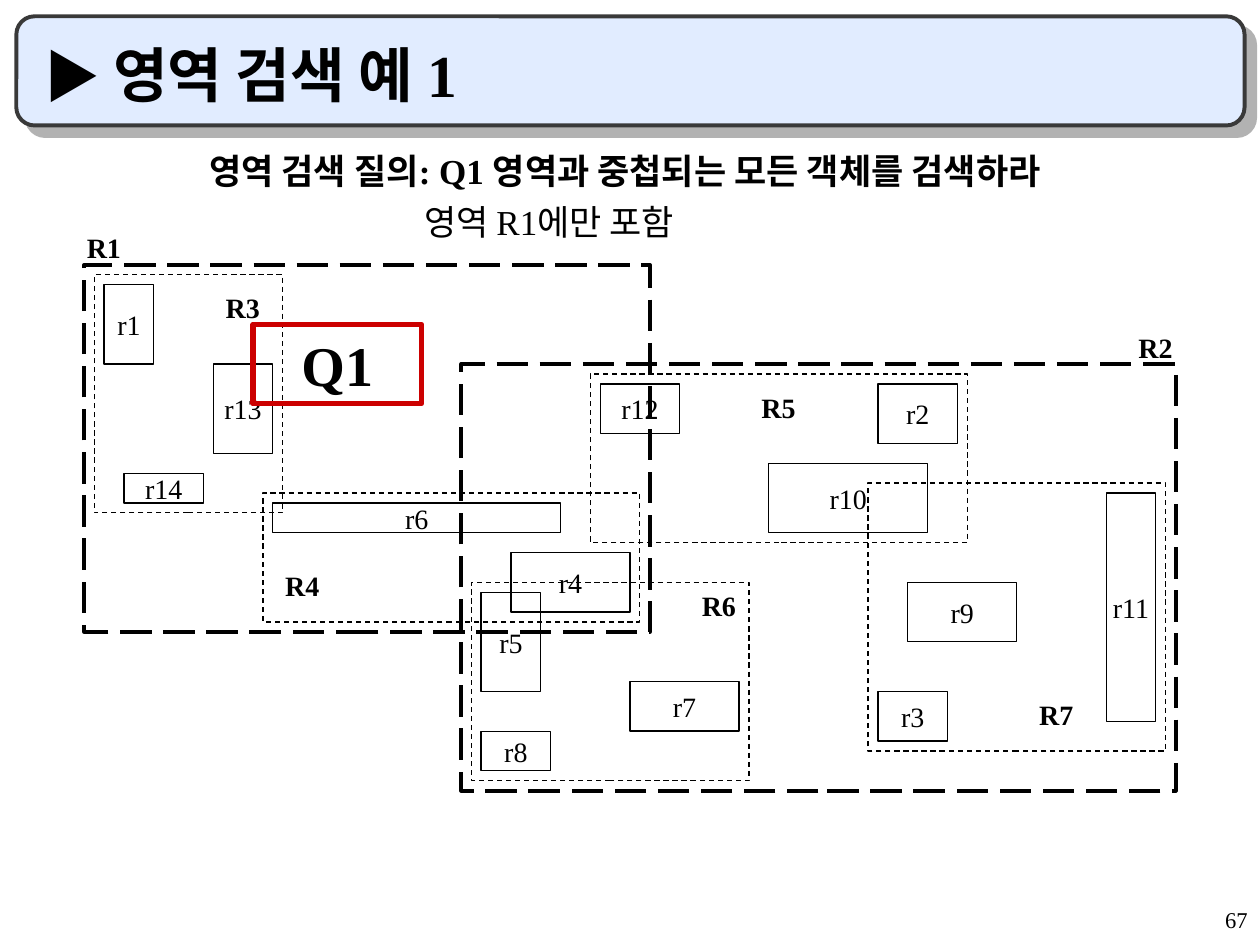
import pptx
import pptx.util
import pptx.dml.color
import pptx.enum.dml
import pptx.enum.shapes
import pptx.enum.text
import lxml.etree

Cm, Pt = pptx.util.Cm, pptx.util.Pt
ALIGN = pptx.enum.text.PP_ALIGN
ANCHOR = pptx.enum.text.MSO_ANCHOR
DASH = pptx.enum.dml.MSO_LINE
FORM = pptx.enum.shapes.MSO_SHAPE
BLACK = "000000"

# Regions and objects: name, then left, top, width, height in cm
OUTER = [(1.7, 5.34, 11.4, 7.4), (9.3, 7.34, 14.4, 8.6)]
INNER = [
    (1.9, 5.54, 3.8, 4.8), (5.3, 9.94, 7.6, 2.6), (11.9, 7.54, 7.6, 3.4),
    (9.5, 11.74, 5.6, 4), (17.5, 9.74, 6, 5.4),
]
ITEMS = {
    "r1": (2.1, 5.74, 1, 1.6), "r13": (4.3, 7.34, 1.2, 1.8),
    "r14": (2.5, 9.54, 1.6, 0.6), "r6": (5.5, 10.14, 5.8, 0.6),
    "r4": (10.3, 11.14, 2.4, 1.2), "r5": (9.7, 11.94, 1.2, 2),
    "r8": (9.7, 14.74, 1.4, 0.8), "r7": (12.7, 13.74, 2.2, 1),
    "r12": (12.1, 7.74, 1.6, 1), "r10": (15.5, 9.34, 3.2, 1.4),
    "r11": (22.3, 9.94, 1, 4.6), "r3": (17.7, 13.94, 1.4, 1),
    "r9": (18.3, 11.74, 2.2, 1.2), "r2": (17.7, 7.74, 1.6, 1.2),
}
LABELS = {
    "R1": (1.5, 4.52), "R2": (22.7, 6.54), "R3": (4.3, 5.74),
    "R4": (5.5, 11.34), "R5": (15.1, 7.74), "R6": (13.9, 11.74),
    "R7": (20.7, 13.94),
}


def tint(code):
    return pptx.dml.color.RGBColor.from_string(code)


def write(para, text, size=16, bold=False, align=None, before=None,
          lead=None, left=None, hang=0):
    """Add a run to a paragraph and set the format of both."""
    run = para.add_run()
    run.text = text
    run.font.name = "Times New Roman"
    run.font.size = Pt(size)
    run.font.bold = bold
    run.font.color.rgb = tint(BLACK)
    if align is not None:
        para.alignment = align
    if before is not None:
        para.space_before = Pt(before)
    if lead is not None:
        para.line_spacing = lead
    if left is not None:
        props = para._p.get_or_add_pPr()
        props.set("marL", str(Cm(left)))
        props.set("indent", str(Cm(hang)))


def place(shape, left, top, width, height):
    shape.left, shape.top = Cm(left), Cm(top)
    shape.width, shape.height = Cm(width), Cm(height)


def frame(slide, box, line=BLACK, width=0.75, dash=None, fill=None,
          form=FORM.RECTANGLE):
    """Draw an outlined shape."""
    shape = slide.shapes.add_shape(form, *map(Cm, box))
    shape.shadow.inherit = False
    if fill:
        shape.fill.solid()
        shape.fill.fore_color.rgb = tint(fill)
    else:
        shape.fill.background()
    shape.line.color.rgb = tint(line)
    shape.line.width = Pt(width)
    if dash:
        shape.line.dash_style = dash
    return shape


def item(slide, name, box, size=16, bold=False, **look):
    """Draw a box with its name in the middle."""
    area = frame(slide, box, **look).text_frame
    area.word_wrap = False
    area.vertical_anchor = ANCHOR.MIDDLE
    write(area.paragraphs[0], name, size, bold, align=ALIGN.CENTER)


def note(slide, box):
    area = slide.shapes.add_textbox(*map(Cm, box)).text_frame
    area.word_wrap = True
    return area


def banner(slide):
    """Draw the title bar with a hard shadow, behind the title."""
    bar = frame(slide, (0.33, 0.33, 24.76, 2.2), line="393939", width=2.25,
                fill="E1ECFF", form=FORM.ROUNDED_RECTANGLE)
    space = "http://schemas.openxmlformats.org/drawingml/2006/main"
    effects = bar._element.spPr.find(f"{{{space}}}effectLst")
    shade = lxml.etree.SubElement(
        effects, f"{{{space}}}outerShdw", blurRad="0", dist=str(Pt(8.5)),
        dir="2700000", algn="ctr", rotWithShape="0")
    lxml.etree.SubElement(shade, f"{{{space}}}srgbClr", val="B2B2B2")
    slide.shapes._spTree.insert(2, bar._element)


def title(slide):
    head = slide.shapes.title
    place(head, 0.64, 0.64, 23.93, 1.7)
    area = head.text_frame
    area.auto_size = pptx.enum.text.MSO_AUTO_SIZE.NONE
    area.vertical_anchor = ANCHOR.BOTTOM
    para = area.paragraphs[0]
    write(para, "▶ ", 32, True, align=ALIGN.LEFT)
    write(para, "영역 검색 예 1", 34, True)


def main():
    deck = pptx.Presentation()
    deck.slide_width, deck.slide_height = Cm(25.4), Cm(19.05)
    slide = deck.slides.add_slide(deck.slide_layouts[5])

    # Title bar and page number
    banner(slide)
    title(slide)
    page = note(slide, (20.12, 18.21, 5.28, 0.84))
    write(page.paragraphs[0], "67", 12.9, align=ALIGN.RIGHT, lead=0.9)

    # Nested regions
    for box in OUTER:
        frame(slide, box, width=2.25, dash=DASH.LONG_DASH)
    for box in INNER:
        frame(slide, box, dash=DASH.DASH)

    # Objects and region names
    for name, box in ITEMS.items():
        item(slide, name, box)
    for name, (left, top) in LABELS.items():
        area = note(slide, (left, top, 1.2, 0.94))
        write(area.paragraphs[0], name, bold=True)

    # Query region and its question
    item(slide, "Q1", (5.1, 6.54, 3.4, 1.6), 32, True,
         line="CC0000", width=3)
    query = note(slide, (2.7, 3.12, 20, 1.88))
    write(query.paragraphs[0],
          "영역 검색 질의: Q1 영역과 중첩되는 모든 객체를 검색하라",
          20, True, lead=0.7, left=2.06, hang=-0.79)
    write(query.add_paragraph(), "영역 R1에만 포함", 20,
          before=12.5, lead=0.7, left=5.6)

    deck.save("out.pptx")


if __name__ == "__main__":
    main()
